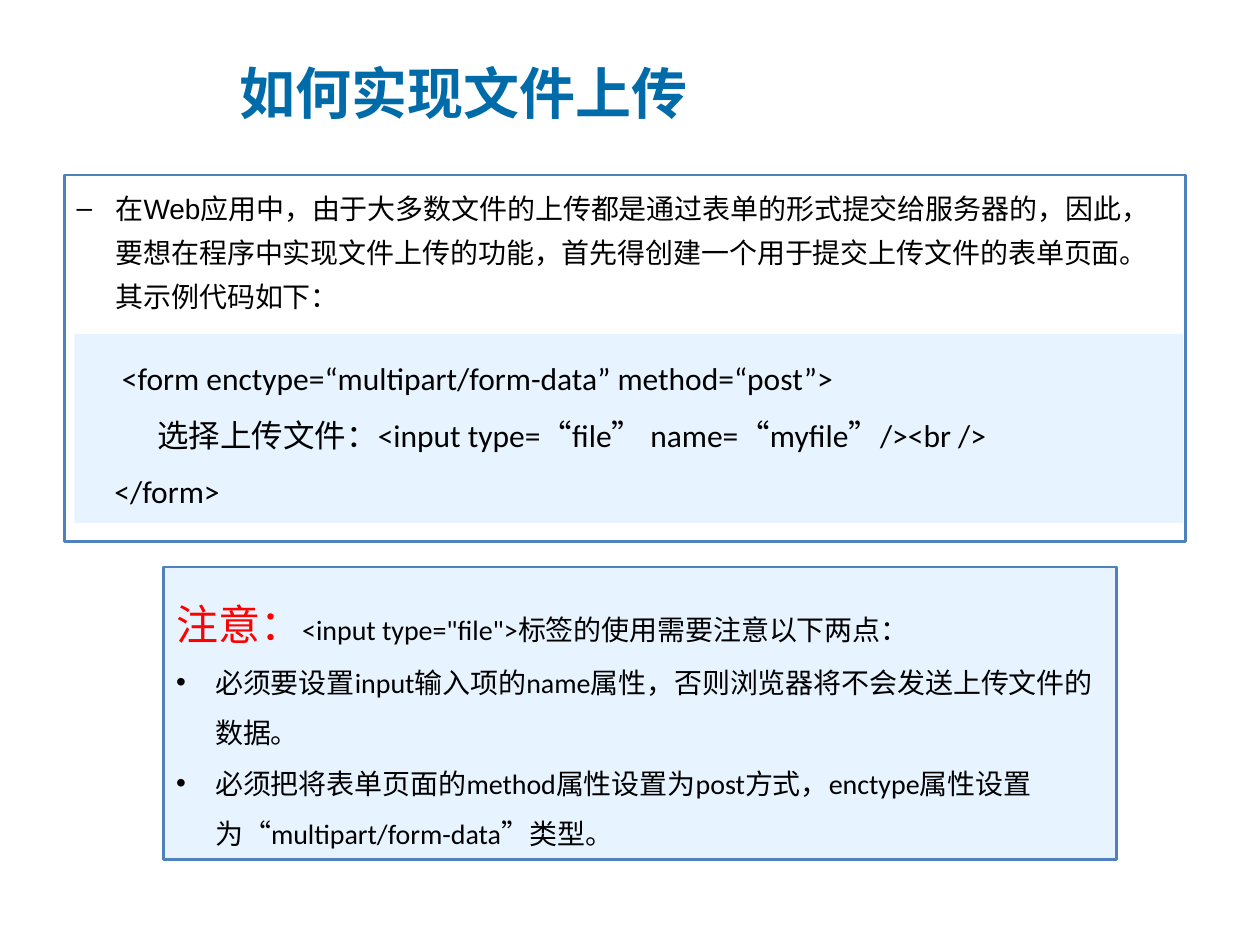
from lxml import etree
from pptx import Presentation
from pptx import util as u
from pptx.dml.color import RGBColor
from pptx.enum import shapes, text
from pptx.oxml.ns import qn

BLACK = RGBColor(0x00, 0x00, 0x00)
WHITE = RGBColor(0xFF, 0xFF, 0xFF)
RED = RGBColor(0xFF, 0x00, 0x00)
TITLE_BLUE = RGBColor(0x00, 0x6B, 0xA9)
BORDER_BLUE = RGBColor(0x4F, 0x81, 0xBD)
PALE_BLUE = RGBColor(0xE7, 0xF4, 0xFF)
CJK_FONT = "Noto Sans CJK SC"


class SlideBuilder:
    """Holds the shared style and the current slide."""

    border_width = u.Pt(1.5)
    hanging = 0.31

    def __init__(self, slide):
        self.slide = slide

    def prepare_frame(self, shape, anchor):
        frame = shape.text_frame
        frame.word_wrap = True
        frame.vertical_anchor = anchor
        return frame

    def panel(self, left, top, width, height, fill, border=None):
        shape = self.slide.shapes.add_shape(
            shapes.MSO_SHAPE.RECTANGLE,
            u.Inches(left), u.Inches(top), u.Inches(width), u.Inches(height))
        shape.shadow.inherit = False
        shape.fill.solid()
        shape.fill.fore_color.rgb = fill
        if border is None:
            shape.line.fill.background()
        else:
            shape.line.color.rgb = border
            shape.line.width = self.border_width
        return self.prepare_frame(shape, text.MSO_ANCHOR.TOP)

    def text_box(self, left, top, width, height):
        shape = self.slide.shapes.add_textbox(
            u.Inches(left), u.Inches(top), u.Inches(width), u.Inches(height))
        return self.prepare_frame(shape, text.MSO_ANCHOR.MIDDLE)

    def paragraph(self, frame, spacing=None, bullet=None, margin=0):
        paragraph = frame.paragraphs[0]
        if paragraph.runs:
            paragraph = frame.add_paragraph()
        paragraph.alignment = text.PP_ALIGN.LEFT
        if spacing is not None:
            paragraph.line_spacing = spacing
        properties = paragraph._p.get_or_add_pPr()
        if bullet:
            margin = self.hanging
            properties.set("indent", str(u.Inches(-self.hanging)))
            etree.SubElement(properties, qn("a:buFont"), typeface="Arial")
            etree.SubElement(properties, qn("a:buChar"), char=bullet)
        properties.set("marL", str(u.Inches(margin)))
        return paragraph

    def run(self, paragraph, words, size, font="Calibri", color=BLACK, bold=False):
        run = paragraph.add_run()
        run.text = words
        run.font.size = u.Pt(size)
        run.font.bold = bold
        run.font.color.rgb = color
        run.font.name = font
        etree.SubElement(run._r.get_or_add_rPr(), qn("a:ea"), typeface=CJK_FONT)


def main():
    presentation = Presentation()
    presentation.slide_width = u.Inches(10)
    presentation.slide_height = u.Inches(7.5)
    builder = SlideBuilder(presentation.slides.add_slide(presentation.slide_layouts[6]))

    # Introduction
    intro = builder.panel(0.51, 1.39, 8.9, 2.91, WHITE, BORDER_BLUE)
    paragraph = builder.paragraph(intro, u.Pt(25), "–")
    builder.run(paragraph, "在Web应用中，由于大多数文件的上传都是通过表单的形式提交给服务器的，"
                "因此，要想在程序中实现文件上传的功能，首先得创建一个用于提交上传文件的"
                "表单页面。其示例代码如下：", 16, "Arial")

    # Points to note
    note = builder.panel(1.3, 4.5, 7.56, 2.32, PALE_BLUE, BORDER_BLUE)
    paragraph = builder.paragraph(note, 1.5)
    builder.run(paragraph, "注意：", 24, CJK_FONT, RED)
    builder.run(paragraph, '<input type="file">标签的使用需要注意以下两点：', 16)
    for point in (
        "必须要设置input输入项的name属性，否则浏览器将不会发送上传文件的数据。",
        "必须把将表单页面的method属性设置为post方式，enctype属性设置为“multipart/form-data”类型。",
    ):
        builder.run(builder.paragraph(note, 1.5, "•"), point, 16)

    # Sample code, indented by paragraph margins
    code = builder.panel(0.59, 2.65, 8.8, 1.5, PALE_BLUE)
    for margin, line in (
        (0.28, "<form enctype=“multipart/form-data” method=“post”>"),
        (0.56, "选择上传文件：<input type=“file” name=“myfile”/><br />"),
        (0.22, "</form>"),
    ):
        builder.run(builder.paragraph(code, 1.5, margin=margin), line, 18)

    # Title
    title = builder.text_box(1.8, 0.43, 5.41, 0.61)
    builder.run(builder.paragraph(title), "如何实现文件上传", 32, CJK_FONT, TITLE_BLUE, True)

    presentation.save("out.pptx")


if __name__ == "__main__":
    main()
